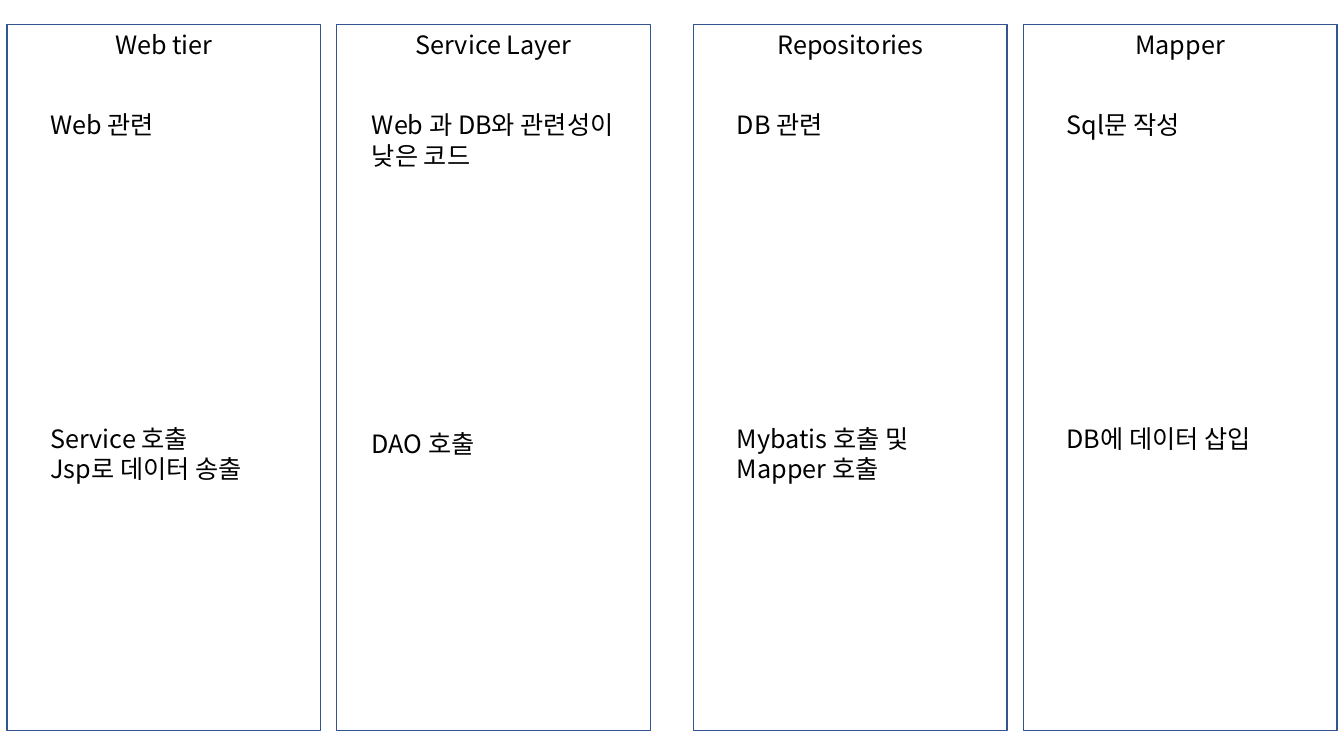
from lxml.etree import SubElement
from pptx import Presentation
from pptx.dml.color import RGBColor
from pptx.enum.shapes import MSO_SHAPE
from pptx.enum.text import MSO_AUTO_SIZE, PP_ALIGN
from pptx.oxml.ns import qn
from pptx.util import Inches, Pt

FONT = "Noto Sans CJK KR"
BLACK = RGBColor(0x00, 0x00, 0x00)
BORDER_BLUE = RGBColor(0x32, 0x54, 0x91)

# Layers: title, role, role lines, task, task lines, note indent, task top
LAYERS = [
    ("Web tier", "Web 관련", 1, "Service 호출\nJsp로 데이터 송출", 2, 0.33, 4.15),
    ("Service Layer", "Web 과 DB와 관련성이 낮은 코드", 2, "DAO 호출", 1, 0.25, 4.2),
    ("Repositories", "DB 관련", 1, "Mybatis 호출 및 Mapper 호출", 2, 0.33, 4.15),
    ("Mapper", "Sql문 작성", 1, "DB에 데이터 삽입", 1, 0.33, 4.15),
]

# Layout in inches: two pairs of columns
SLIDE_WIDTH, SLIDE_HEIGHT = 13.33, 7.5
LEFT, TOP = 0.07, 0.24
COLUMN_WIDTH, COLUMN_HEIGHT = 3.11, 7.01
COLUMN_STEP, PAIR_STEP = 3.27, 6.81
ROLE_TOP, NOTE_WIDTH = 1.04, 2.62
PADDING, LINE_HEIGHT = 0.1, 0.3


def add_column(slide, left):
    column = slide.shapes.add_shape(
        MSO_SHAPE.RECTANGLE, Inches(left), Inches(TOP),
        Inches(COLUMN_WIDTH), Inches(COLUMN_HEIGHT))
    column.shadow.inherit = False
    column.fill.background()
    column.line.color.rgb = BORDER_BLUE
    column.line.width = Pt(1)


def add_label(slide, text, left, top, width, lines=1, alignment=PP_ALIGN.LEFT):
    label = slide.shapes.add_textbox(
        Inches(left), Inches(top), Inches(width),
        Inches(PADDING + lines * LINE_HEIGHT))
    text_frame = label.text_frame
    text_frame.word_wrap = True
    text_frame.auto_size = MSO_AUTO_SIZE.SHAPE_TO_FIT_TEXT
    text_frame.text = text
    for paragraph in text_frame.paragraphs:
        paragraph.alignment = alignment
        for run in paragraph.runs:
            run.font.size = Pt(18)
            run.font.name = FONT
            run.font.color.rgb = BLACK
            # Korean letters take the East Asian font
            SubElement(run.font._element, qn("a:ea"), typeface=FONT)


def main():
    presentation = Presentation()
    presentation.slide_width = Inches(SLIDE_WIDTH)
    presentation.slide_height = Inches(SLIDE_HEIGHT)
    slide = presentation.slides.add_slide(presentation.slide_layouts[6])

    for index, layer in enumerate(LAYERS):
        title, role, role_lines, task, task_lines, indent, task_top = layer
        pair, side = divmod(index, 2)
        left = LEFT + pair * PAIR_STEP + side * COLUMN_STEP

        # Frame and heading
        add_column(slide, left)
        add_label(slide, title, left, TOP, COLUMN_WIDTH, alignment=PP_ALIGN.CENTER)

        # Role above, task below
        add_label(slide, role, left + indent, ROLE_TOP, NOTE_WIDTH, role_lines)
        add_label(slide, task, left + indent, task_top, NOTE_WIDTH, task_lines)

    presentation.save("out.pptx")


if __name__ == "__main__":
    main()
